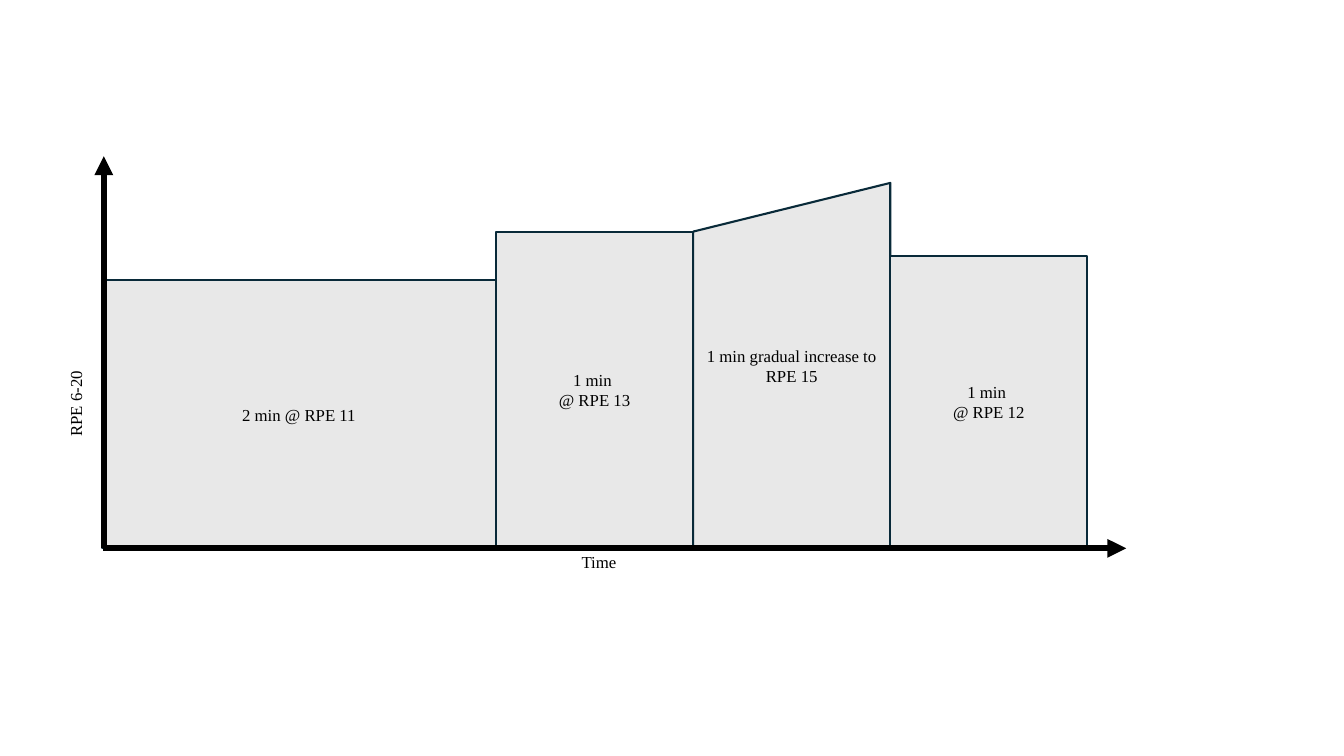
from lxml.etree import SubElement
from pptx import Presentation
from pptx.dml.color import RGBColor
from pptx.enum.shapes import MSO_CONNECTOR, MSO_SHAPE
from pptx.enum.text import MSO_ANCHOR, MSO_AUTO_SIZE, PP_ALIGN
from pptx.oxml.ns import qn
from pptx.util import Inches, Pt

STAGES = [
    (2, 11, 11, ["2 min @ RPE 11"]),
    (1, 13, 13, ["1 min ", "@ RPE 13"]),
    (1, 13, 15, ["1 min gradual increase to RPE 15"]),
    (1, 12, 12, ["1 min ", "@ RPE 12"]),
]
AXES = [
    (1.02, 5.44, 11.17, 5.44),
    (1.03, 5.44, 1.03, 1.55),
]
LABELS = [
    ("RPE 6-20", (-0.35, 3.01, 2.37, 0.47), 270, True),
    ("Time", (5.67, 5.42, 0.86, 0.47), 0, False),
]
COLORS = {"fill": "E8E8E8", "edge": "092A39", "ink": "000000"}
FONT = "Times New Roman"
LEFT, BASE = 1.01, 5.44
MINUTE = 3.91 / 2
UNIT = 2.9 / 12


def color(name):
    return RGBColor.from_string(COLORS[name])


def write(frame, lines, align):
    for i, line in enumerate(lines):
        para = frame.paragraphs[0] if i == 0 else frame.add_paragraph()
        para.alignment = align
        run = para.add_run()
        run.text = line
        run.font.size = Pt(12)
        run.font.name = FONT
        run.font.color.rgb = color("ink")


def add_stage(shapes, x, wide, start, end, lines):
    left, right, base = Inches(x), Inches(x + wide), Inches(BASE)
    top, peak = Inches(BASE - start * UNIT), Inches(BASE - end * UNIT)
    if start == end:
        block = shapes.add_shape(MSO_SHAPE.RECTANGLE, left, top, right - left, base - top)
    else:
        form = shapes.build_freeform(left, top)
        form.add_line_segments([(right, peak), (right, base), (left, base)], close=True)
        block = form.convert_to_shape()
    block.shadow.inherit = False
    block.fill.solid()
    block.fill.fore_color.rgb = color("fill")
    block.line.color.rgb = color("edge")
    block.line.width = Pt(1.5)
    frame = block.text_frame
    frame.word_wrap = True
    frame.vertical_anchor = MSO_ANCHOR.MIDDLE
    write(frame, lines, PP_ALIGN.CENTER)


def add_axis(shapes, ends):
    axis = shapes.add_connector(MSO_CONNECTOR.STRAIGHT, *map(Inches, ends))
    axis.line.color.rgb = color("ink")
    axis.line.width = Pt(4.5)
    SubElement(axis.line._get_or_add_ln(), qn("a:tailEnd"), type="triangle")
    SubElement(axis._element.spPr, qn("a:effectLst"))


def add_label(shapes, text, box, turn, wrap):
    label = shapes.add_textbox(*map(Inches, box))
    label.rotation = turn
    frame = label.text_frame
    frame.word_wrap = wrap
    frame.auto_size = MSO_AUTO_SIZE.SHAPE_TO_FIT_TEXT
    write(frame, [text], PP_ALIGN.LEFT)


def main():
    deck = Presentation()
    deck.slide_width, deck.slide_height = Inches(13.33), Inches(7.5)
    shapes = deck.slides.add_slide(deck.slide_layouts[6]).shapes
    x = LEFT
    for mins, start, end, lines in STAGES:
        wide = mins * MINUTE
        add_stage(shapes, x, wide, start, end, lines)
        x += wide
    for ends in AXES:
        add_axis(shapes, ends)
    for label in LABELS:
        add_label(shapes, *label)
    deck.save("out.pptx")


if __name__ == "__main__":
    main()
